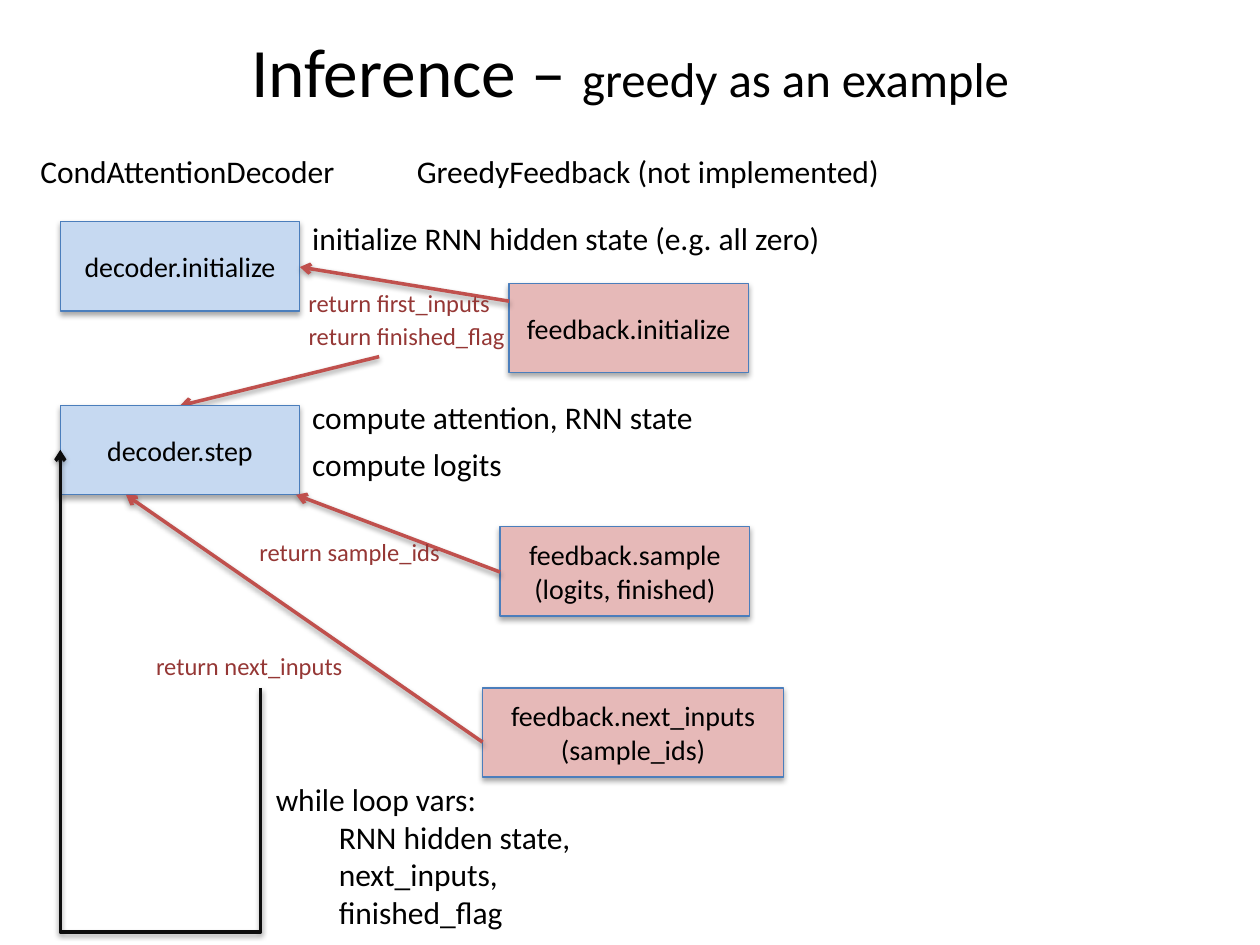
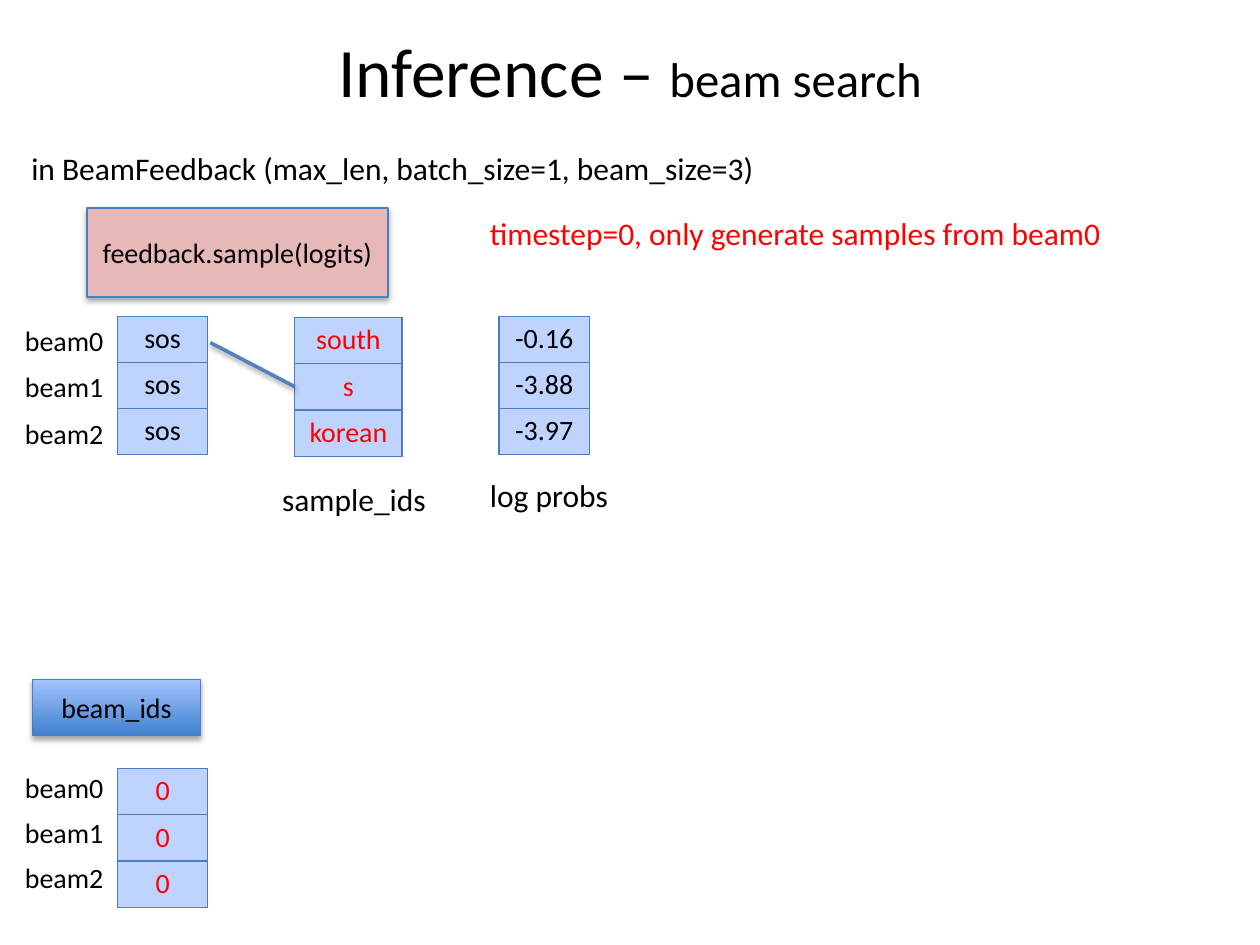
from lxml import etree
from pptx import Presentation
from pptx.dml.color import RGBColor
from pptx.enum import shapes, text
from pptx.oxml import ns
from pptx.util import Pt

FONT = "Calibri"
BLACK, RED, MAROON, INK = "000000", "FF0000", "953735", "0D0D0D"
DECODER, FEEDBACK, CELL = "C6D9F1", "E6B9B8", "BFD3FF"
EDGE, CALL, LINK = "4B7EBC", "C0504D", "4F81BD"
BOX_W, BOX_H, ROW_H = 136.8, 51, 26.4
CENTER = text.PP_ALIGN.CENTER


def rgb(value):
    return RGBColor.from_string(value)


def child(parent, tag, **attrs):
    el = etree.SubElement(parent, ns.qn(tag))
    for name, value in attrs.items():
        el.set(name, str(value))
    return el


def add_run(p, content, size, color=BLACK):
    r = p.add_run()
    r.text = content
    r.font.name, r.font.size = FONT, Pt(size)
    r.font.color.rgb = rgb(color)


def add_lines(tf, lines, size, color=BLACK, align=None):
    for i, line in enumerate(lines):
        p = tf.add_paragraph() if i else tf.paragraphs[0]
        p.alignment = align
        add_run(p, line, size, color)


def add_shadow(sp_pr, alpha, dist):
    effects = sp_pr.find(ns.qn("a:effectLst"))
    if effects is None:
        effects = child(sp_pr, "a:effectLst")
    shadow = child(effects, "a:outerShdw", blurRad=Pt(3.15), dist=Pt(dist),
                   dir=90 * 60000, rotWithShape=0)
    child(child(shadow, "a:srgbClr", val=BLACK), "a:alpha", val=alpha * 1000)


# Basic parts
def label(s, x, y, w, lines, size=18, color=BLACK, wrap=True):
    h = len(lines) * size * 1.22 + 7.2
    tf = s.shapes.add_textbox(Pt(x), Pt(y), Pt(w), Pt(h)).text_frame
    tf.word_wrap = wrap
    tf.auto_size = text.MSO_AUTO_SIZE.SHAPE_TO_FIT_TEXT
    add_lines(tf, lines, size, color)
    return tf


def box(s, x, y, w, h, lines, fill):
    sp = s.shapes.add_shape(shapes.MSO_SHAPE.RECTANGLE, Pt(x), Pt(y), Pt(w), Pt(h))
    if isinstance(fill, str):
        sp.fill.solid()
        sp.fill.fore_color.rgb = rgb(fill)
    else:
        sp.fill.gradient()
        sp.fill.gradient_angle = 90
        for stop, color in zip(sp.fill.gradient_stops, fill):
            stop.color.rgb = rgb(color)
    sp.line.color.rgb, sp.line.width = rgb(EDGE), Pt(0.75)
    sp.shadow.inherit = False
    add_shadow(sp._element.spPr, 35, 1.81)
    sp.text_frame.vertical_anchor = text.MSO_ANCHOR.MIDDLE
    add_lines(sp.text_frame, lines, 16, align=CENTER)


def line(s, x1, y1, x2, y2, color=CALL, arrow=True,
         kind=shapes.MSO_CONNECTOR.STRAIGHT):
    c = s.shapes.add_connector(kind, Pt(x1), Pt(y1), Pt(x2), Pt(y2))
    c.line.color.rgb, c.line.width = rgb(color), Pt(2)
    if arrow:
        child(c.line._get_or_add_ln(), "a:tailEnd", type="arrow")
    add_shadow(c._element.spPr, 38, 1.57)
    return c


def column(s, x, y, w, values, color=BLACK):
    frame = s.shapes.add_table(len(values), 1, Pt(x), Pt(y), Pt(w),
                               Pt(ROW_H * len(values)))
    table = frame.table
    table.first_row = table.horz_banding = False
    for row, value in zip(table.rows, values):
        row.height = Pt(ROW_H)
        cell = row.cells[0]
        cell.margin_top = cell.margin_bottom = Pt(3.2)
        tc_pr = cell._tc.get_or_add_tcPr()
        for side in "LRTB":
            ln = child(tc_pr, "a:ln" + side, w=Pt(0.75))
            child(child(ln, "a:solidFill"), "a:srgbClr", val=EDGE)
        cell.fill.solid()
        cell.fill.fore_color.rgb = rgb(CELL)
        add_lines(cell.text_frame, [value], 16, color, CENTER)


def titled_slide(prs, topic):
    s = prs.slides.add_slide(prs.slide_layouts[5])
    title = s.shapes.title
    title.left, title.top, title.width, title.height = Pt(36), Pt(21.6), Pt(648), Pt(36)
    tf = title.text_frame
    tf.auto_size = text.MSO_AUTO_SIZE.NONE
    tf.vertical_anchor = text.MSO_ANCHOR.MIDDLE
    p = tf.paragraphs[0]
    p.alignment = CENTER
    add_run(p, "Inference – ", 39.6)
    add_run(p, topic, 27.9)
    return s


# Greedy slide regions, each relative to its decoder box
def initialize_region(s, x, y):
    box(s, x, y, BOX_W, BOX_H, ["decoder.initialize"], DECODER)
    box(s, x + 256.4, y + 35.3, BOX_W, BOX_H, ["feedback.initialize"], FEEDBACK)
    line(s, x + 256.4, y + 45.4, x + BOX_W, y + 25.9)
    label(s, x + BOX_W, y - 5, 306.7, ["initialize RNN hidden state (e.g. all zero)"])
    label(s, x + 134.7, y + 34.6, 155.5, ["return first_inputs"], 14, MAROON)
    label(s, x + 134.7, y + 53.3, 162, ["return finished_flag"], 14, MAROON)
    line(s, x + 182.2, y + 77.1, x + BOX_W / 2, y + 105.1)


def step_region(s, x, y):
    box(s, x, y, BOX_W, BOX_H, ["decoder.step"], DECODER)
    label(s, x + BOX_W, y - 7.9, 251.3, ["compute attention, RNN state"])
    label(s, x + BOX_W, y + 18.8, 251.3, ["compute logits"])
    # Feedback calls
    box(s, x + 251.3, y + 69.2, 142.6, BOX_H,
        ["feedback.sample", "(logits, finished)"], FEEDBACK)
    line(s, x + 251.3, y + 95.1, x + 134.7, y + BOX_H)
    label(s, x + 106.6, y + 71.3, 134.6, ["return sample_ids"], 14, MAROON)
    box(s, x + 241.3, y + 161.3, 172, BOX_H,
        ["feedback.next_inputs", "(sample_ids)"], FEEDBACK)
    line(s, x + 241.3, y + 192.3, x + 37.5, y + BOX_H)
    label(s, x + 47.6, y + 136.8, 134.6, ["return next_inputs"], 14, MAROON)


def loop_region(s, x, y):
    # The elbow is laid out flat, then turned a quarter to run down, left and up
    w, h = 114.5, 136.1
    cx, cy = x + w / 2, y + 25.2 + h / 2
    c = line(s, cx + h / 2, cy - w / 2, cx - h / 2, cy + w / 2, INK,
             kind=shapes.MSO_CONNECTOR.ELBOW)
    sp_pr = c._element.spPr
    sp_pr.find(ns.qn("a:xfrm")).set("rot", str(90 * 60000))
    guides = sp_pr.find(ns.qn("a:prstGeom")).find(ns.qn("a:avLst"))
    child(guides, "a:gd", name="adj1", fmla="val -102400")
    tf = label(s, x + 116, y + 210.3, 251.3,
               ["while loop vars:", "RNN hidden state,", "next_inputs,", "finished_flag"])
    for p in tf.paragraphs[1:]:
        p._p.get_or_add_pPr().set("marL", str(Pt(36)))


def greedy_slide(prs):
    s = titled_slide(prs, "greedy as an example")
    label(s, 16, 83.5, 185, ["CondAttentionDecoder"], wrap=False)
    label(s, 231.1, 83.5, 282.2, ["GreedyFeedback (not implemented)"], wrap=False)
    initialize_region(s, 34.5, 126.7)
    step_region(s, 34.5, 231.8)
    loop_region(s, 34.5, 231.8)


# Beam slide regions
def beams(s, x, y, values, color, label_dy, pitch):
    column(s, x + 59.8, y, 51.8, values, color)
    for i in range(len(values)):
        label(s, x, y + label_dy + i * pitch, 59.8, [f"beam{i}"], 16)


def sample_region(s, x, y):
    box(s, x + 42.5, y - 61.9, 172, BOX_H, ["feedback.sample(logits)"], FEEDBACK)
    beams(s, x, y, ["sos"] * 3, BLACK, 0.7, ROW_H)
    column(s, x + 161.3, y + 0.8, 61.2, ["south", "s", "korean"], RED)
    line(s, x + 113, y + 15.1, x + 161.3, y + 40.3, LINK, arrow=False)
    column(s, x + 277.9, y, 51.8, ["-0.16", "-3.88", "-3.97"])
    label(s, x + 146.9, y + 90, 97.2, ["sample_ids"], wrap=False)
    label(s, x + 265.7, y + 87.9, 83.5, ["log probs"], wrap=False)


def beam_ids_region(s, x, y):
    box(s, x + 11.5, y - 51.1, 95.8, 32.4, ["beam_ids"], ("3F80CE", "A4C4FF"))
    beams(s, x, y, ["0"] * 3, RED, -2.2, 25.6)


def beam_slide(prs):
    s = titled_slide(prs, "beam search")
    label(s, 10.8, 81.4, 433.4,
          ["in BeamFeedback (max_len, batch_size=1, beam_size=3)"], wrap=False)
    label(s, 272.9, 118.8, 365,
          ["timestep=0, only generate samples from beam0"], color=RED, wrap=False)
    sample_region(s, 7.2, 180.7)
    beam_ids_region(s, 7.2, 439.2)


prs = Presentation()
prs.slide_width, prs.slide_height = Pt(720), Pt(540)
greedy_slide(prs)
beam_slide(prs)
prs.save("out.pptx")
